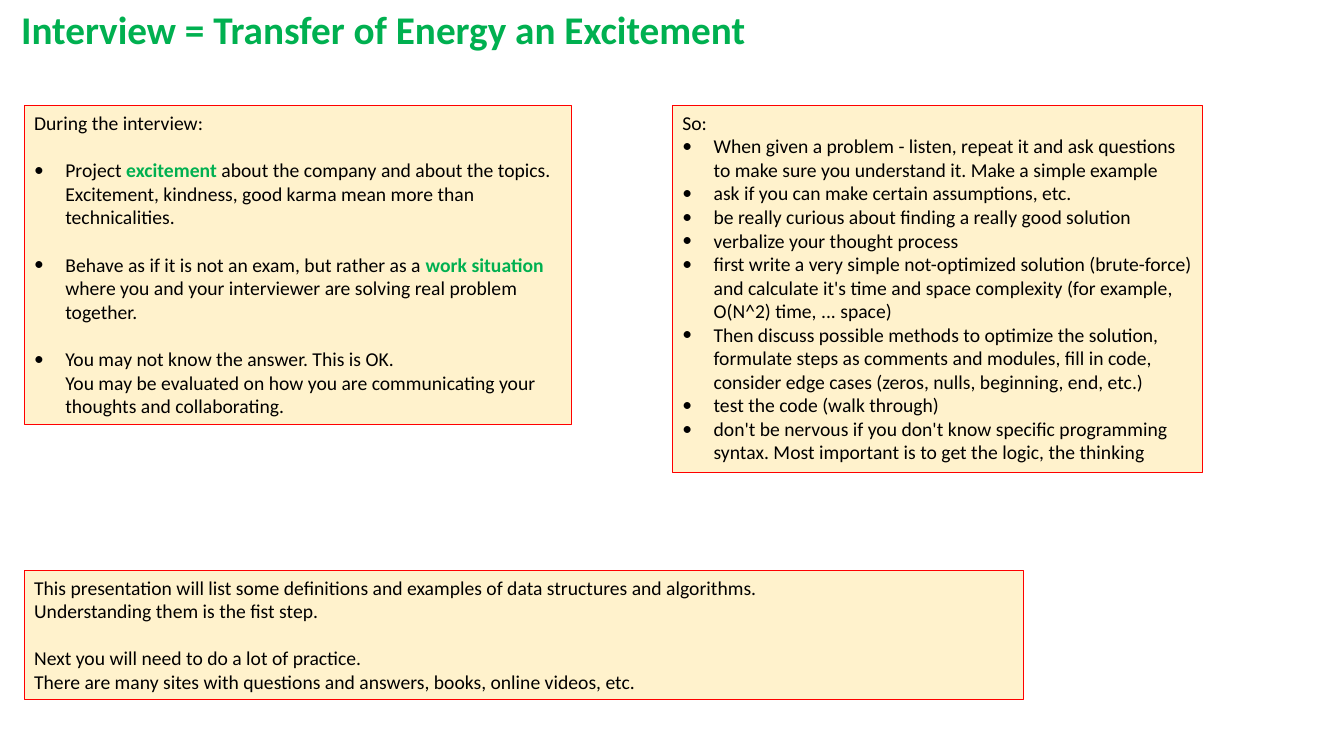
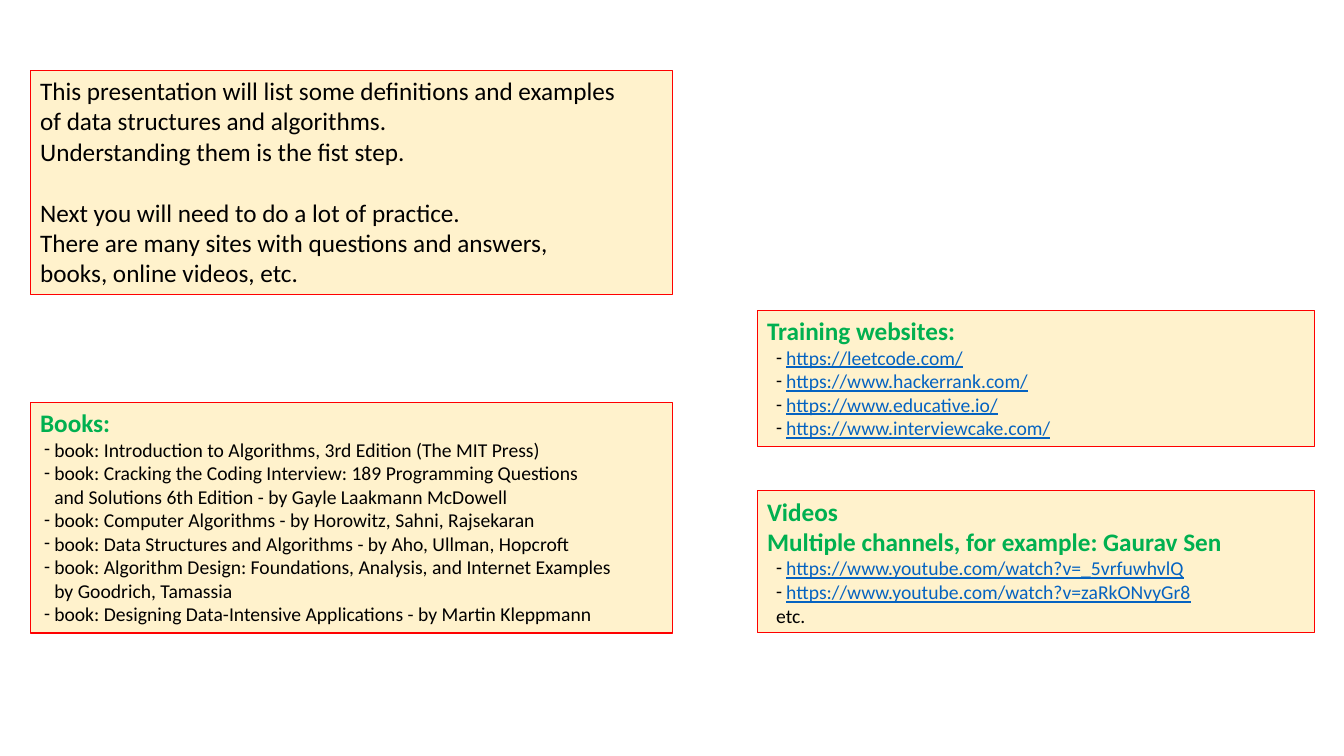
from lxml import etree
from pptx import Presentation
from pptx.dml.color import RGBColor
from pptx.enum import shapes, text
from pptx.oxml.ns import qn
from pptx.util import Inches, Pt

FONT = "Calibri"
BLACK, GREEN, CREAM, RED, BLUE = "000000", "00B050", "FFF2CC", "FF0000", "0563C1"
LINE_HEIGHT = 1.22

RUN_STYLES = {
    "key": {"bold": True, "color": GREEN},
    "link": {"underline": True, "color": BLUE},
}
# Margins are in inches; gap is the space before, in lines.
PARAGRAPH_STYLES = {
    "title": {"size": 28, "run": "key"},
    "heading": {"size": 18, "run": "key"},
    "large": {"size": 18},
    "large after gap": {"size": 18, "gap": 1},
    "body": {"size": 14},
    "body after gap": {"size": 14, "gap": 1},
    "point": {"size": 14, "bullet": "•", "margin": 0.31, "hang": 0.31},
    "spaced point": {"size": 14, "bullet": "•", "margin": 0.31, "hang": 0.31, "gap": 1},
    "book": {"size": 14, "bullet": "-", "margin": 0.14, "hang": 0.1},
    "site": {"size": 14, "bullet": "-", "margin": 0.19, "hang": 0.1, "run": "link"},
    "more": {"size": 14, "margin": 0.09},
}


def same(style, *items):
    return [(style, item) for item in items]


# A box is (left, top, width, height) and its paragraphs; a paragraph is a style and its runs.
LEFT_1, TOP_1 = 0.24, 1.05
LEFT_2, RIGHT_2, LEFT_WIDTH, RIGHT_WIDTH = 0.3, 7.51, 6.37, 5.53
SLIDES = [
    {
        "title": "Interview = Transfer of Energy an Excitement",
        "boxes": [
            ((LEFT_1, TOP_1, 5.43, 3.16), [
                ("body", "During the interview:"),
                ("spaced point", "Project ", ("excitement", "key"),
                 " about the company and about the topics. Excitement, kindness, "
                 "good karma mean more than technicalities."),
                ("spaced point", "Behave as if it is not an exam, but rather as a ",
                 ("work situation", "key"),
                 " where you and your interviewer are solving real problem together."),
                ("spaced point", "You may not know the answer. This is OK.\n"
                 "You may be evaluated on how you are communicating your thoughts "
                 "and collaborating."),
            ]),
            ((6.67, TOP_1, 5.26, 3.64), [("body", "So:")] + same(
                "point",
                "When given a problem - listen, repeat it and ask questions to make sure "
                "you understand it. Make a simple example",
                "ask if you can make certain assumptions, etc.",
                "be really curious about finding a really good solution",
                "verbalize your thought process",
                "first write a very simple not-optimized solution (brute-force) and calculate "
                "it's time and space complexity (for example, O(N^2) time, ... space)",
                "Then discuss possible methods to optimize the solution, formulate steps as "
                "comments and modules, fill in code, consider edge cases (zeros, nulls, "
                "beginning, end, etc.)",
                "test the code (walk through)",
                "don't be nervous if you don't know specific programming syntax. "
                "Most important is to get the logic, the thinking",
            )),
            ((LEFT_1, 5.66, 9.91, 1.28), [
                ("body", "This presentation will list some definitions and examples of "
                 "data structures and algorithms."),
                ("body", "Understanding them is the fist step."),
                ("body after gap", "Next you will need to do a lot of practice."),
                ("body", "There are many sites with questions and answers, books, "
                 "online videos, etc."),
            ]),
        ],
    },
    {
        "boxes": [
            ((LEFT_2, 0.7, LEFT_WIDTH, 2.22), [
                ("large", "This presentation will list some definitions and examples\n"
                 "of data structures and algorithms."),
                ("large", "Understanding them is the fist step."),
                ("large after gap", "Next you will need to do a lot of practice."),
                ("large", "There are many sites with questions and answers,\n"
                 "books, online videos, etc."),
            ]),
            ((RIGHT_2, 3.08, RIGHT_WIDTH, 1.35), [("heading", "Training websites:")] + same(
                "site",
                "https://leetcode.com/",
                "https://www.hackerrank.com/",
                "https://www.educative.io/",
                "https://www.interviewcake.com/",
            )),
            ((LEFT_2, 3.99, LEFT_WIDTH, 2.29), [("heading", "Books:")] + same(
                "book",
                "book: Introduction to Algorithms, 3rd Edition (The MIT Press)",
                "book: Cracking the Coding Interview: 189 Programming Questions\n"
                "and Solutions 6th Edition - by Gayle Laakmann McDowell",
                "book: Computer Algorithms - by Horowitz, Sahni, Rajsekaran",
                "book: Data Structures and Algorithms - by Aho, Ullman, Hopcroft",
                "book: Algorithm Design: Foundations, Analysis, and Internet Examples\n"
                "by Goodrich, Tamassia",
                "book: Designing Data-Intensive Applications - by Martin Kleppmann",
            )),
            ((RIGHT_2, 4.87, RIGHT_WIDTH, 1.41), [
                ("heading", "Videos"),
                ("heading", "Multiple channels, for example: Gaurav Sen"),
                ("site", "https://www.youtube.com/watch?v=_5vrfuwhvlQ"),
                ("site", "https://www.youtube.com/watch?v=zaRkONvyGr8"),
                ("more", "etc."),
            ]),
        ],
    },
]


def rgb(color):
    return RGBColor.from_string(color)


def indent(p, margin, hang, bullet):
    pPr = p._p.get_or_add_pPr()
    pPr.set("marL", str(Inches(margin)))
    pPr.set("indent", str(-Inches(hang)))
    if bullet:
        color = etree.SubElement(pPr, qn("a:buClr"))
        etree.SubElement(color, qn("a:srgbClr")).set("val", BLACK)
        etree.SubElement(pPr, qn("a:buFont")).set("typeface", FONT)
        etree.SubElement(pPr, qn("a:buChar")).set("char", bullet)


def add_run(p, words, size, style):
    look = {"name": FONT, "size": Pt(size), "bold": False, "color": BLACK,
            **RUN_STYLES.get(style, {})}
    color = look.pop("color")
    for i, line in enumerate(words.split("\n")):
        if i:
            p.add_line_break()
        r = p.add_run()
        r.text = line
        for name, value in look.items():
            setattr(r.font, name, value)
        r.font.color.rgb = rgb(color)


def write(tf, paragraphs, wrap=True):
    frame = {"word_wrap": wrap, "auto_size": text.MSO_AUTO_SIZE.NONE,
             "vertical_anchor": text.MSO_ANCHOR.TOP}
    for name, value in frame.items():
        setattr(tf, name, value)
    for i, (style, *runs) in enumerate(paragraphs):
        look = PARAGRAPH_STYLES[style]
        size = look["size"]
        p = tf.add_paragraph() if i else tf.paragraphs[0]
        indent(p, look.get("margin", 0), look.get("hang", 0), look.get("bullet"))
        p.alignment = text.PP_ALIGN.LEFT
        p.space_before = Pt(round(size * LINE_HEIGHT * look.get("gap", 0)))
        for run in runs:
            words, run_style = (run, look.get("run")) if isinstance(run, str) else run
            add_run(p, words, size, run_style)


def add_box(s, place, paragraphs):
    sp = s.shapes.add_shape(shapes.MSO_SHAPE.RECTANGLE, *map(Inches, place))
    sp.shadow.inherit = False
    sp.fill.solid()
    sp.fill.fore_color.rgb = rgb(CREAM)
    sp.line.color.rgb = rgb(RED)
    sp.line.width = Pt(0.75)
    write(sp.text_frame, paragraphs)


def set_title(s, words):
    sp = s.shapes.title
    sp.left, sp.top, sp.width, sp.height = map(Inches, (0.11, 0, 7.52, 0.57))
    write(sp.text_frame, [("title", words)], wrap=False)


def main():
    prs = Presentation()
    prs.slide_width, prs.slide_height = Inches(13.33), Inches(7.5)
    title_only, blank = prs.slide_layouts[5], prs.slide_layouts[6]
    for content in SLIDES:
        title = content.get("title")
        s = prs.slides.add_slide(title_only if title else blank)
        if title:
            set_title(s, title)
        for place, paragraphs in content["boxes"]:
            add_box(s, place, paragraphs)
    prs.save("out.pptx")


if __name__ == "__main__":
    main()
